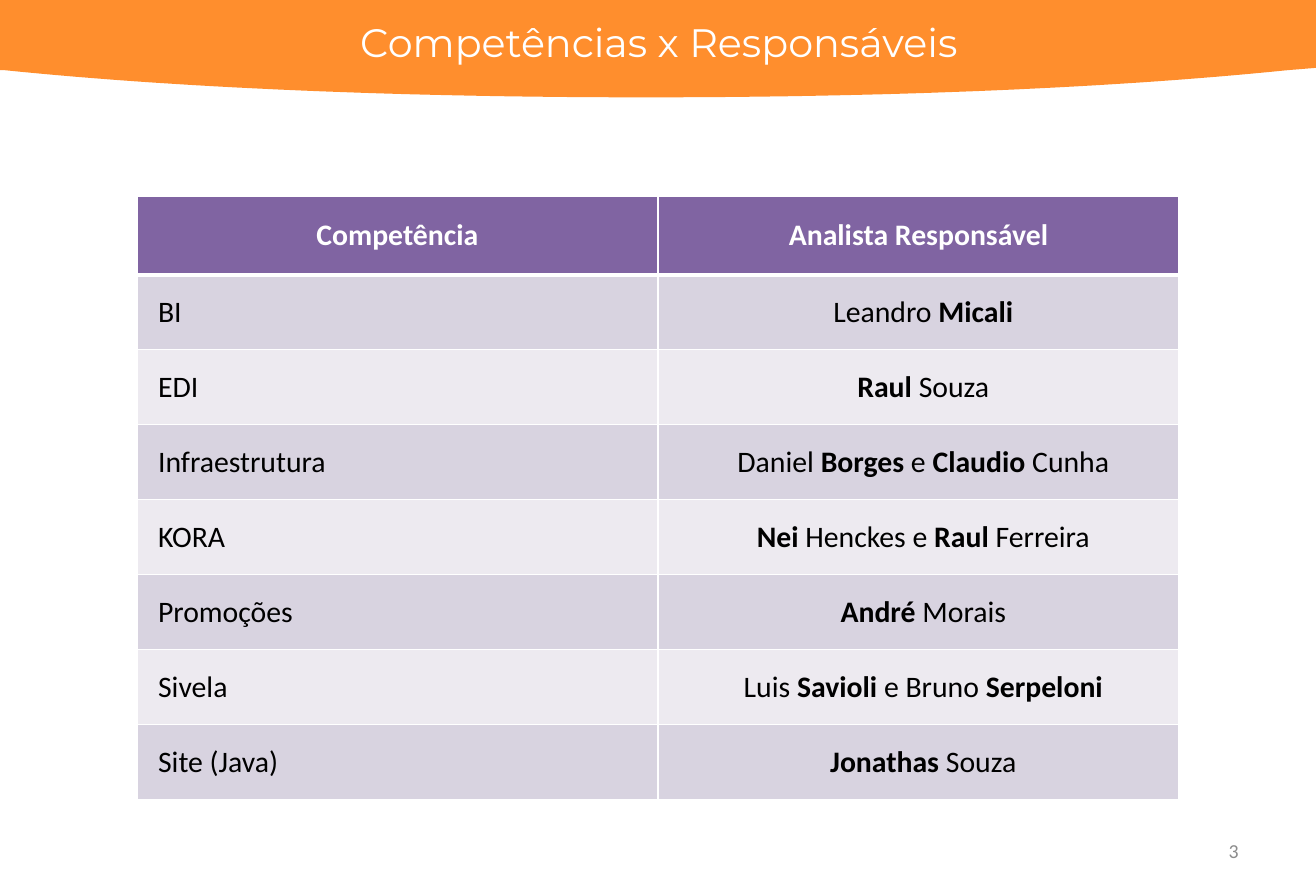
from dataclasses import dataclass

from lxml import etree
from pptx import Presentation
from pptx.dml.color import RGBColor
from pptx.enum.text import MSO_ANCHOR, MSO_AUTO_SIZE, PP_ALIGN
from pptx.oxml.ns import qn
from pptx.util import Cm, Pt

LEFT, CENTER, RIGHT = PP_ALIGN.LEFT, PP_ALIGN.CENTER, PP_ALIGN.RIGHT
TOP, MIDDLE = MSO_ANCHOR.TOP, MSO_ANCHOR.MIDDLE
NO_AUTOFIT = MSO_AUTO_SIZE.NONE
TITLE_ONLY = 5


@dataclass(frozen=True)
class Theme:
    orange: str = "FF8E2D"
    purple: str = "8064A2"
    bands: tuple = ("D8D3E0", "EDEAF0")
    white: str = "FFFFFF"
    black: str = "000000"
    gray: str = "8C8C8C"
    title_font: str = "Montserrat"
    body_font: str = "Calibri"
    title_size: int = 24
    table_size: int = 18
    number_size: int = 12


theme = Theme()


def write(text_frame, text, size, color, font=theme.body_font, align=LEFT,
          anchor=MIDDLE, indent=0):
    """Write one paragraph; parts between asterisks are bold."""
    text_frame.word_wrap = True
    text_frame.vertical_anchor = anchor
    paragraph = text_frame.paragraphs[0]
    paragraph.alignment = align
    if indent:
        paragraph._p.get_or_add_pPr().set("marL", str(indent))
    for position, part in enumerate(text.split("*")):
        if part:
            run = paragraph.add_run()
            run.text = part
            run.font.name = font
            run.font.size = Pt(size)
            run.font.bold = position % 2 == 1
            run.font.color.rgb = RGBColor.from_string(color)


def format_cell(cell, fill, top=1, bottom=1):
    """Give a cell white borders and a solid fill."""
    properties = cell._tc.get_or_add_tcPr()
    for side, width in (("L", 1), ("R", 1), ("T", top), ("B", bottom)):
        line = etree.SubElement(properties, qn(f"a:ln{side}"), w=str(Pt(width)))
        solid = etree.SubElement(line, qn("a:solidFill"))
        etree.SubElement(solid, qn("a:srgbClr"), val=theme.white)
    cell.fill.solid()
    cell.fill.fore_color.rgb = RGBColor.from_string(fill)


presentation = Presentation()
presentation.slide_width = Cm(28.09)
presentation.slide_height = Cm(19.05)
slide = presentation.slides.add_slide(presentation.slide_layouts[TITLE_ONLY])

# Banner: straight top, lower edge made of two Bézier arcs
arcs = (
    ((27.48, 1.5), (23.77, 1.88), (19, 2.08), (13.79, 2.08)),
    ((13.79, 2.08), (8.59, 2.08), (3.81, 1.88), (0.1, 1.5)),
)
steps = 30
outline = [(28.09, 0), (28.09, 1.45)]
for arc in arcs:
    for step in range(steps + 1):
        t = step / steps
        weights = ((1 - t) ** 3, 3 * t * (1 - t) ** 2, 3 * t ** 2 * (1 - t), t ** 3)
        outline.append(tuple(
            sum(weight * point[axis] for weight, point in zip(weights, arc))
            for axis in (0, 1)))
outline.append((0, 1.5))
builder = slide.shapes.build_freeform(0, 0, scale=1.0)
builder.add_line_segments([(Cm(x), Cm(y)) for x, y in outline], close=True)
banner = builder.convert_to_shape()
banner.shadow.inherit = False
banner.fill.solid()
banner.fill.fore_color.rgb = RGBColor.from_string(theme.orange)
banner.line.fill.background()

# Title, brought in front of the banner
title = slide.shapes.title
title.left, title.top, title.width, title.height = Cm(6.48), Cm(0.25), Cm(15.16), Cm(1.27)
title.text_frame.auto_size = NO_AUTOFIT
write(title.text_frame, "Competências x Responsáveis", size=theme.title_size,
      color=theme.white, font=theme.title_font, align=CENTER, anchor=TOP)
slide.shapes._spTree.append(title._element)

# Table of skills and analysts
headings = ("*Competência*", "*Analista Responsável*")
analysts = (
    ("BI", "Leandro *Micali*"),
    ("EDI", "*Raul *Souza"),
    ("Infraestrutura", "Daniel *Borges *e *Claudio* Cunha"),
    ("KORA", "*Nei *Henckes e *Raul* Ferreira"),
    ("Promoções", "*André *Morais"),
    ("Sivela", "Luis *Savioli *e Bruno *Serpeloni*"),
    ("Site (Java)", "*Jonathas *Souza"),
)
table = slide.shapes.add_table(len(analysts) + 1, len(headings), Cm(2.92), Cm(4.19),
                               Cm(22.25), Cm(12.88)).table
for row in table.rows:
    row.height = Cm(1.6)
table.rows[0].height = Cm(1.68)

for column, heading in enumerate(headings):
    cell = table.cell(0, column)
    format_cell(cell, theme.purple, bottom=3)
    write(cell.text_frame, heading, size=theme.table_size, color=theme.white, align=CENTER)
    cell.vertical_anchor = MIDDLE

for row_number, entry in enumerate(analysts, start=1):
    for column, (text, align) in enumerate(zip(entry, (LEFT, CENTER))):
        cell = table.cell(row_number, column)
        format_cell(cell, theme.bands[(row_number - 1) % 2], top=3 if row_number == 1 else 1)
        write(cell.text_frame, text, size=theme.table_size, color=theme.black,
              align=align, indent=Cm(0.2))
        cell.vertical_anchor = MIDDLE

# Slide number
number = slide.shapes.add_textbox(Cm(20.14), Cm(17.65), Cm(6.55), Cm(1.02))
write(number.text_frame, "3", size=theme.number_size, color=theme.gray, align=RIGHT)

presentation.save("out.pptx")
